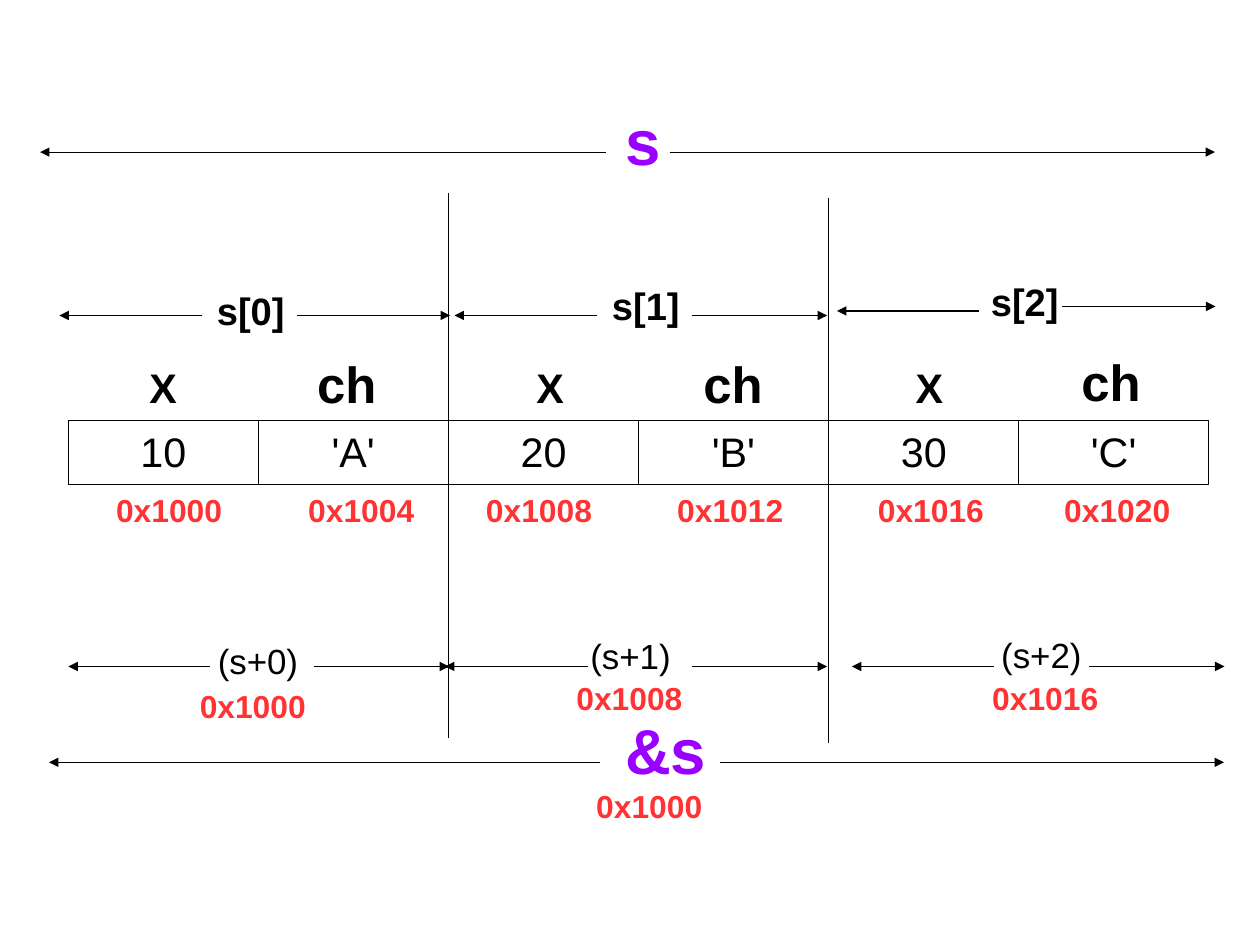
from collections import namedtuple

import lxml.etree
import pptx
import pptx.dml.color
import pptx.enum.shapes
import pptx.enum.text
import pptx.oxml.ns
import pptx.util

Cm = pptx.util.Cm
COLORS = {"ink": "000000", "paper": "FFFFFF", "address": "FF3333", "whole": "9900FF"}

Style = namedtuple("Style", "size bold color width height")
STYLES = {
    "whole": Style(40, True, "whole", 3.2, 1.6),
    "index": Style(24, True, "ink", 2.2, 1.27),
    "pointer": Style(22, False, "ink", 2.4, 1.2),
    "address": Style(20, True, "address", 3, 1.1),
    "X": Style(26, True, "ink", 1.3, 1.35),
    "ch": Style(32, True, "ink", 2, 1.6),
    "value": Style(26, False, "ink", 4.22, 1.42),
}

# Label: text, style, x and y. Span: four x positions, y of each arrow, labels.
Label = namedtuple("Label", "text style x y")
Span = namedtuple("Span", "stops left_y right_y labels")
Record = namedtuple("Record", "values fields addresses index pointer divider")

FIRST_LEFT, CELL_TOP, RECORD_PITCH = 1.52, 9.35, 8.45

# Positions inside a record are measured from the top left of its first cell.
RECORDS = [
    Record(
        ["10", "'A'"],
        [Label("X", "X", 1.55, -1.35), Label("ch", "ch", 5.28, -1.55)],
        [Label("0x1000", "address", 0.81, 1.47), Label("0x1004", "address", 5.08, 1.47)],
        Span((-0.2, 2.97, 5.08, 8.48), -2.34, -2.34, [Label("s[0]", "index", 3.05, -3.02)]),
        Span((0, 3.15, 5.46, 8.46), 5.46, 5.46,
             [Label("(s+0)", "pointer", 3.07, 4.78), Label("0x1000", "address", 2.67, 5.84)]),
        None,
    ),
    Record(
        ["20", "'B'"],
        [Label("X", "X", 1.7, -1.35), Label("ch", "ch", 5.41, -1.55)],
        [Label("0x1008", "address", 0.58, 1.47), Label("0x1012", "address", 4.83, 1.47)],
        Span((0.13, 3.3, 5.41, 8.41), -2.34, -2.34, [Label("s[1]", "index", 3.38, -3.15)]),
        Span((-0.08, 3.1, 5.41, 8.41), 5.46, 5.46,
             [Label("(s+1)", "pointer", 2.9, 4.67), Label("0x1008", "address", 2.59, 5.66)]),
        (-5.06, 7.06),
    ),
    Record(
        ["30", "'C'"],
        [Label("X", "X", 1.68, -1.35), Label("ch", "ch", 5.36, -1.6)],
        [Label("0x1016", "address", 0.84, 1.47), Label("0x1020", "address", 4.98, 1.47)],
        Span((0.18, 3.33, 5.18, 8.59), -2.44, -2.54, [Label("s[2]", "index", 3.35, -3.23)]),
        Span((0.51, 3.66, 5.79, 8.79), 5.46, 5.46,
             [Label("(s+2)", "pointer", 3.58, 4.65), Label("0x1016", "address", 3.38, 5.66)]),
        (-4.96, 7.16),
    ),
]

ARRAY_SPAN = Span((0, 12.57, 13.99, 26.11), 0, 0, [Label("s", "whole", 12.77, -1.12)])
ADDRESS_SPAN = Span(
    (0, 12.25, 14.91, 26.11), 0, 0,
    [Label("&s", "whole", 12.55, -1.14), Label("0x1000", "address", 11.91, 0.46)],
)


def color(name):
    return pptx.dml.color.RGBColor.from_string(COLORS[name])


def write(shape, text, style):
    frame = shape.text_frame
    frame.text = text
    frame.margin_left = frame.margin_right = Cm(0.25)
    frame.margin_top, frame.margin_bottom = Cm(0.15), Cm(0.13)
    para = frame.paragraphs[0]
    para.line_spacing = 0.94
    font = para.runs[0].font
    font.name = "Arial"
    font.size = pptx.util.Pt(style.size)
    font.bold = style.bold
    font.color.rgb = color(style.color)
    return frame


def draw_label(page, left, top, label):
    style = STYLES[label.style]
    box = page.shapes.add_textbox(
        Cm(left + label.x), Cm(top + label.y), Cm(style.width), Cm(style.height))
    write(box, label.text, style).word_wrap = True


def draw_cell(page, left, top, text):
    style = STYLES["value"]
    cell = page.shapes.add_shape(
        pptx.enum.shapes.MSO_SHAPE.RECTANGLE,
        Cm(left), Cm(top), Cm(style.width), Cm(style.height))
    cell.shadow.inherit = False
    cell.fill.solid()
    cell.fill.fore_color.rgb = color("paper")
    cell.line.color.rgb = color("ink")
    cell.line.width = pptx.util.Pt(0.75)
    frame = write(cell, text, style)
    frame.word_wrap = False
    frame.vertical_anchor = pptx.enum.text.MSO_ANCHOR.MIDDLE
    frame.paragraphs[0].alignment = pptx.enum.text.PP_ALIGN.CENTER


def draw_line(page, start, end, arrow=False):
    line = page.shapes.add_connector(
        pptx.enum.shapes.MSO_CONNECTOR.STRAIGHT, *map(Cm, start + end))
    line.line.color.rgb = color("ink")
    line.line.width = pptx.util.Pt(0.75)
    qn = pptx.oxml.ns.qn
    if arrow:
        lxml.etree.SubElement(line.line._get_or_add_ln(), qn("a:tailEnd"), type="triangle")
    lxml.etree.SubElement(line._element.spPr, qn("a:effectLst"))


def draw_span(page, left, top, span):
    """Two arrows pointing outwards from the gap that holds the label."""
    left_tip, gap_start, gap_end, right_tip = (left + stop for stop in span.stops)
    left_y, right_y = top + span.left_y, top + span.right_y
    draw_line(page, (gap_start, left_y), (left_tip, left_y), arrow=True)
    draw_line(page, (gap_end, right_y), (right_tip, right_y), arrow=True)
    for label in span.labels:
        draw_label(page, left, top, label)


def draw_record(page, left, top, record):
    for column, value in enumerate(record.values):
        draw_cell(page, left + column * STYLES["value"].width, top, value)
    for label in record.fields + record.addresses:
        draw_label(page, left, top, label)
    draw_span(page, left, top, record.index)
    draw_span(page, left, top, record.pointer)
    if record.divider:
        start, end = record.divider
        draw_line(page, (left, top + start), (left, top + end))


def main():
    deck = pptx.Presentation()
    deck.slide_width, deck.slide_height = Cm(28), Cm(21)
    page = deck.slides.add_slide(deck.slide_layouts[6])
    for number, record in enumerate(RECORDS):
        draw_record(page, FIRST_LEFT + number * RECORD_PITCH, CELL_TOP, record)
    draw_span(page, 0.89, 3.38, ARRAY_SPAN)
    draw_span(page, 1.09, 16.94, ADDRESS_SPAN)
    deck.save("out.pptx")


if __name__ == "__main__":
    main()
